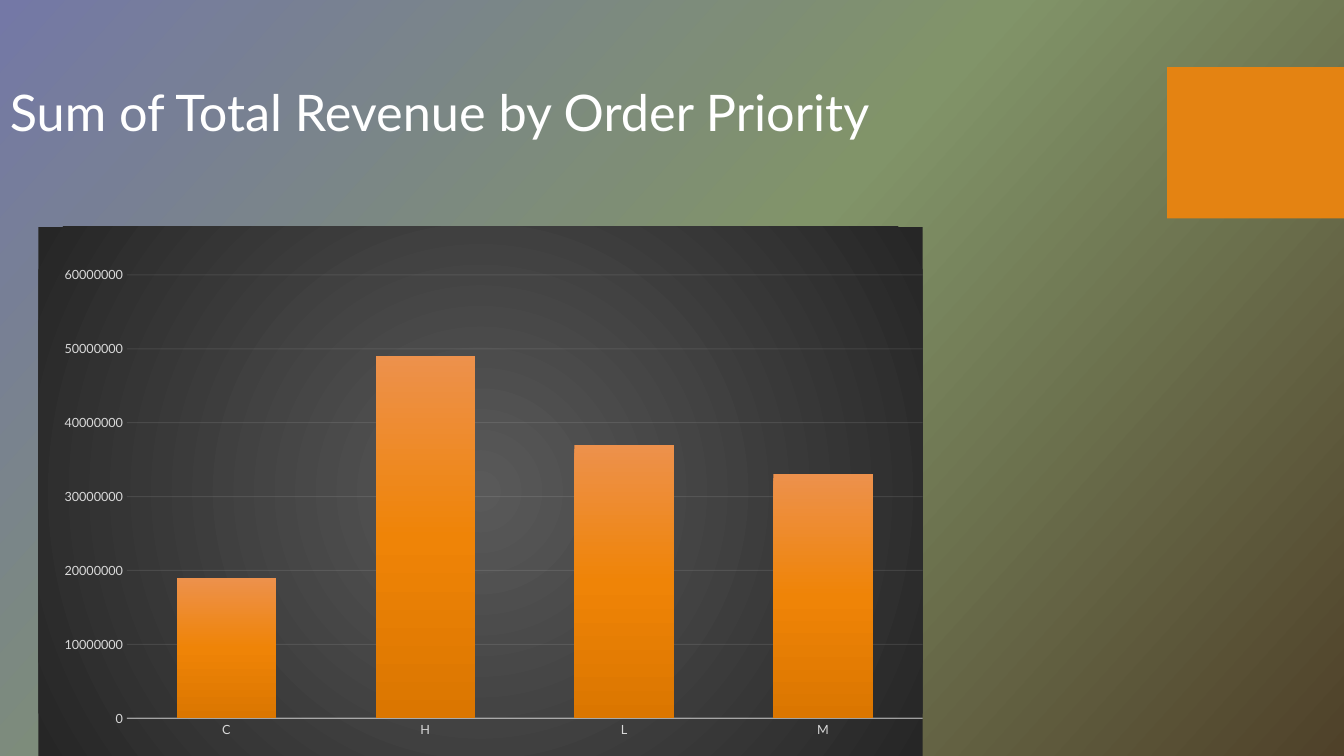
from pptx import Presentation
from pptx.chart.data import CategoryChartData
from pptx.dml.color import RGBColor
from pptx.enum.chart import XL_CHART_TYPE, XL_TICK_MARK
from pptx.enum.shapes import MSO_SHAPE
from pptx.enum.text import MSO_ANCHOR
from pptx.oxml import parse_xml
from pptx.oxml.ns import nsdecls
from pptx.util import Pt


def color(hex_string):
    return RGBColor.from_string(hex_string)


def gradient(stops, direction):
    """Build a gradient fill from (percent, hex) stops and a direction element."""
    stop_xml = "".join(
        f'<a:gs pos="{percent * 1000}"><a:srgbClr val="{shade}"/></a:gs>'
        for percent, shade in stops)
    return parse_xml(f'<a:gradFill {nsdecls("a")} rotWithShape="1">'
                     f'<a:gsLst>{stop_xml}</a:gsLst>{direction}</a:gradFill>')


def linear(degrees):
    return f'<a:lin ang="{degrees * 60000}" scaled="0"/>'


RADIAL = ('<a:path path="circle"><a:fillToRect l="50000" t="50000" '
          'r="50000" b="50000"/></a:path>')


class RevenueSlide:
    font = "Lato"
    white, label, rule, accent = "FFFFFF", "D9D9D9", "F2F2F2", "E48312"

    def __init__(self, presentation):
        self.slide = presentation.slides.add_slide(presentation.slide_layouts[6])

    def swap_fill(self, root, holder, fill):
        """Put a gradient in place of the solid fill inside holder."""
        solid = root.xpath(f".//{holder}/a:solidFill")[0]
        solid.getparent().replace(solid, fill)

    def background(self, stops, degrees):
        self.slide.background.fill.solid()
        self.swap_fill(self.slide.element, "p:bgPr", gradient(stops, linear(degrees)))

    def block(self, left, top, width, height):
        block = self.slide.shapes.add_shape(
            MSO_SHAPE.RECTANGLE, Pt(left), Pt(top), Pt(width), Pt(height))
        block.shadow.inherit = False
        block.fill.solid()
        block.fill.fore_color.rgb = color(self.accent)
        block.line.fill.background()

    def title(self, text, left, top, width, height):
        frame = self.slide.shapes.add_textbox(
            Pt(left), Pt(top), Pt(width), Pt(height)).text_frame
        frame.word_wrap = True
        frame.vertical_anchor = MSO_ANCHOR.TOP
        paragraph = frame.paragraphs[0]
        paragraph.line_spacing = 0.9
        run = paragraph.add_run()
        run.text = text
        self.style_font(run.font, 36, self.white)

    def style_font(self, font, size, shade):
        font.name, font.size = self.font, Pt(size)
        font.color.rgb = color(shade)

    def style_line(self, line, width):
        line.width = Pt(width)
        line.color.rgb = color(self.rule)

    def style_axis(self, axis):
        axis.major_tick_mark = axis.minor_tick_mark = XL_TICK_MARK.NONE
        self.style_font(axis.tick_labels.font, 9, self.label)

    def set_alpha(self, root, holder, percent):
        shade = root.xpath(f".//{holder}/c:spPr/a:ln/a:solidFill/a:srgbClr")[0]
        shade.append(parse_xml(f'<a:alpha {nsdecls("a")} val="{percent * 1000}"/>'))

    def columns(self, revenue, left, top, width, height):
        data = CategoryChartData(number_format="General")
        data.categories = list(revenue)
        data.add_series("Series 1", list(revenue.values()))
        chart = self.slide.shapes.add_chart(
            XL_CHART_TYPE.COLUMN_CLUSTERED, Pt(left), Pt(top), Pt(width),
            Pt(height), data).chart
        chart.has_title = chart.has_legend = False
        self.style_font(chart.font, 10, self.white)

        # Axes
        priority_axis, revenue_axis = chart.category_axis, chart.value_axis
        self.style_axis(priority_axis)
        self.style_axis(revenue_axis)
        self.style_line(priority_axis.format.line, 1)
        revenue_axis.format.line.fill.background()
        revenue_axis.minimum_scale, revenue_axis.maximum_scale = 0, 60_000_000
        revenue_axis.major_unit = 10_000_000
        revenue_axis.has_major_gridlines = True
        self.style_line(revenue_axis.major_gridlines.format.line, 0.75)
        root = chart.element
        self.set_alpha(root, "c:catAx", 54)
        self.set_alpha(root, "c:majorGridlines", 10)

        # Columns
        plot = chart.plots[0]
        plot.vary_by_categories = False
        plot.gap_width, plot.overlap = 100, -24
        plot.series[0].format.fill.solid()
        self.swap_fill(root, "c:ser/c:spPr", gradient(
            [(0, "ED914C"), (50, "EF8407"), (100, "DB7600")], linear(90)))

        # Chart panel
        panel = parse_xml(f'<c:spPr {nsdecls("c", "a")}><a:ln><a:noFill/></a:ln></c:spPr>')
        panel.insert(0, gradient([(0, "595959"), (100, "262626")], RADIAL))
        root.xpath("./c:chart")[0].addnext(panel)
        self.place_plot(root, x=0.1, y=0.091, w=0.9, h=0.838)

    def place_plot(self, root, **box):
        area = root.xpath(".//c:plotArea")[0]
        for layout in area.xpath("./c:layout"):
            area.remove(layout)
        sizes = "".join(f'<c:{key} val="{part}"/>' for key, part in box.items())
        area.insert(0, parse_xml(
            f'<c:layout {nsdecls("c")}><c:manualLayout><c:layoutTarget val="inner"/>'
            f'<c:xMode val="edge"/><c:yMode val="edge"/>{sizes}'
            '</c:manualLayout></c:layout>'))


def main():
    presentation = Presentation()
    presentation.slide_width, presentation.slide_height = Pt(960), Pt(540)
    page = RevenueSlide(presentation)

    # Backdrop and accent block
    page.background([(0, "7478A6"), (50, "819469"), (100, "4F4129")], 42)
    page.block(833.75, 48, 126.25, 108)

    # Title and chart
    page.title("Sum of Total Revenue by Order Priority", 0, 59, 757, 85)
    revenue = {"C": 19_000_000, "H": 49_000_000, "L": 37_000_000, "M": 33_000_000}
    page.columns(revenue, 27.5, 162, 632, 378)

    presentation.save("out.pptx")


if __name__ == "__main__":
    main()
